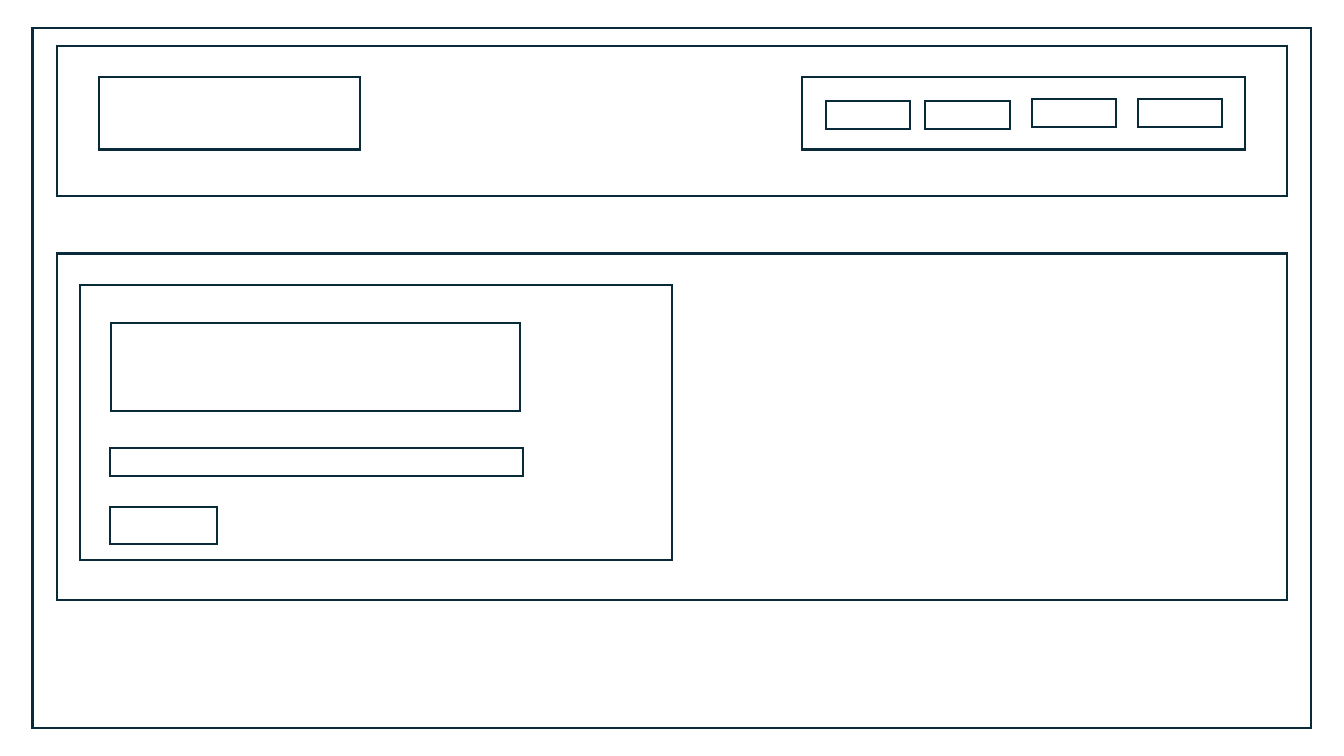
import lxml.etree
import pptx
import pptx.dml.color
import pptx.enum.shapes
import pptx.oxml.ns
import pptx.util

Cm = pptx.util.Cm

SIZE = {"slide_width": 33.87, "slide_height": 19.05}
THEME = {"fill": "FFFFFF", "line": "092A39", "width": 1.5}

LEFT, WIDE = 1.44, 31
TOP, TALL = 1.93, 1.84
EDGE = 2.77
LINK = (2.13, 0.71)
LINKS = [(20.81, 2.54), (23.32, 2.54), (26, 2.5), (28.67, 2.5)]

HEADER = {
    "page": (0.82, 0.71, 32.22, 17.63),
    "header": (LEFT, 1.17, WIDE, 3.78),
    "logo": (2.5, TOP, 6.58, TALL),
    "menu": (20.22, TOP, 11.15, TALL),
}
HERO = {
    "hero": (LEFT, 6.39, WIDE, 8.73),
    "panel": (2.01, 7.18, 14.92, 6.94),
    "title": (2.79, 8.15, 10.31, 2.2),
    "tagline": (EDGE, 11.28, 10.41, 0.71),
    "button": (EDGE, 12.78, 2.69, 0.94),
}


def draw_box(slide, place):
    box = slide.shapes.add_shape(
        pptx.enum.shapes.MSO_SHAPE.RECTANGLE, *map(Cm, place)
    )
    box.shadow.inherit = False
    box.fill.solid()
    color = pptx.dml.color.RGBColor.from_string
    looks = {
        box.fill.fore_color: {"rgb": color(THEME["fill"])},
        box.line.color: {"rgb": color(THEME["line"])},
        box.line: {"width": pptx.util.Pt(THEME["width"])},
    }
    for part, form in looks.items():
        for key, value in form.items():
            setattr(part, key, value)
    edge = box.element.spPr.find(pptx.oxml.ns.qn("a:ln"))
    join = lxml.etree.SubElement(edge, pptx.oxml.ns.qn("a:miter"))
    join.set("lim", "800000")


def main():
    deck = pptx.Presentation()
    for key, value in SIZE.items():
        setattr(deck, key, Cm(value))
    slide = deck.slides.add_slide(deck.slide_layouts[6])
    links = [(*spot, *LINK) for spot in LINKS]
    for place in [*HEADER.values(), *links, *HERO.values()]:
        draw_box(slide, place)
    deck.save("out.pptx")


if __name__ == "__main__":
    main()
